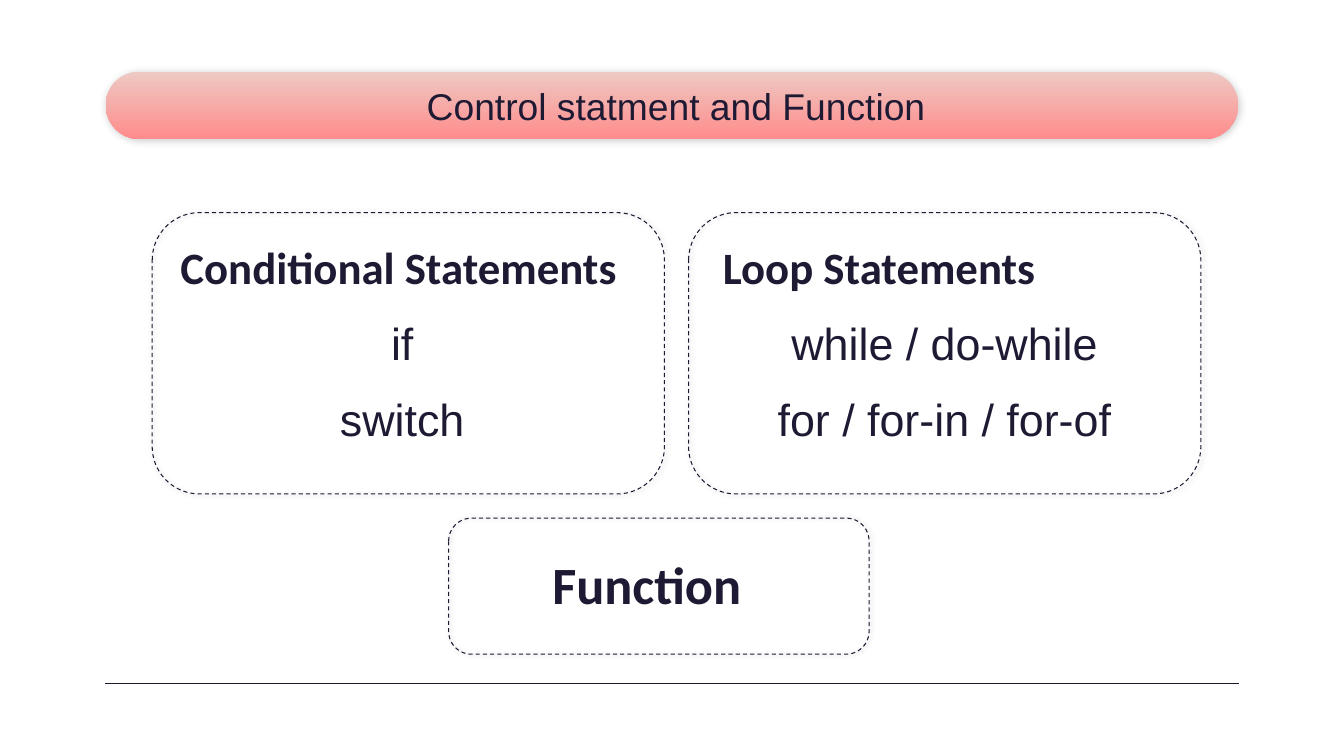
from lxml.etree import SubElement as Sub
from pptx import Presentation as Deck
from pptx.dml.color import RGBColor as Rgb
from pptx.enum.dml import MSO_LINE as Dash
from pptx.enum.shapes import MSO_CONNECTOR as Link, MSO_SHAPE as Kind
from pptx.enum.text import MSO_ANCHOR as Anchor, MSO_AUTO_SIZE as Fit, PP_ALIGN as Align
from pptx.oxml.ns import qn
from pptx.util import Pt

TITLE = "Control statment and Function"
CARDS = [
    (166, "Conditional Statements", ["if", "switch"]),
    (704, "Loop Statements", ["while / do-while", "for / for-in / for-of"]),
]
LAST = "Function"

THEME = {
    "ink": "1F1A33", "top": "EEC9C3", "base": "FF8C8C", "black": "000000",
    "body": "Arial", "head": "Calibri",
    "title": 26.6, "text": 32, "last": 37.4, "gap": 16, "line": 0.75,
}
GLOW = {
    "bar": {"color": THEME["black"], "alpha": 20, "blur": 5.6, "turn": 66},
    "card": {"color": THEME["ink"], "alpha": 30, "blur": 3.4, "turn": 9},
}
PX = 9144
WIDE, HIGH = 1333, 750
CARD_X, CARD_Y, CARD_W, CARD_H = 151, 211, 508, 279
STEP = CARD_W + 24


def emu(*vals):
    return [v * PX for v in vals]


def put(obj, vals):
    for key, val in vals.items():
        setattr(obj, key, val)


def ink(line):
    line.color.rgb = Rgb.from_string(THEME["ink"])
    line.width = Pt(THEME["line"])


def pill(slide, box, bend, glow):
    shape = slide.shapes.add_shape(Kind.ROUNDED_RECTANGLE, *emu(*box))
    shape.adjustments[0] = bend
    shape.shadow.inherit = False
    root = shape._element.spPr.find(qn("a:effectLst"))
    drop = Sub(root, qn("a:outerShdw"), blurRad=str(Pt(glow["blur"])),
               dist=str(Pt(0.8)), dir=str(glow["turn"] * 60000),
               algn="bl", rotWithShape="0")
    tint = Sub(drop, qn("a:srgbClr"), val=glow["color"])
    Sub(tint, qn("a:alpha"), val=str(glow["alpha"] * 1000))
    return shape


def card(slide, box):
    shape = pill(slide, box, 0.168, GLOW["card"])
    shape.fill.background()
    ink(shape.line)
    shape.line.dash_style = Dash.DASH


def label(slide, box, rows, frame, size, gap=0):
    area = slide.shapes.add_textbox(*emu(*box)).text_frame
    put(area, frame)
    for i, (text, bold, align) in enumerate(rows):
        para = area.paragraphs[0] if i == 0 else area.add_paragraph()
        put(para, {"alignment": align, "space_after": Pt(gap)})
        run = para.add_run()
        run.text = text
        face = THEME["head"] if bold else THEME["body"]
        put(run.font, {"name": face, "size": Pt(size), "bold": bold})
        run.font.color.rgb = Rgb.from_string(THEME["ink"])


def pads(side, edge):
    return {"margin_left": side * PX, "margin_right": side * PX,
            "margin_top": edge * PX, "margin_bottom": edge * PX}


def main():
    deck = Deck()
    put(deck, {"slide_width": WIDE * PX, "slide_height": HIGH * PX})
    slide = deck.slides.add_slide(deck.slide_layouts[6])

    bar = pill(slide, (105, 71, 1123, 67), 0.5, GLOW["bar"])
    bar.line.fill.background()
    bar.fill.gradient()
    bar.fill.gradient_angle = 270
    for stop, name, spot in zip(bar.fill.gradient_stops, ("top", "base"), (0, 1)):
        stop.color.rgb = Rgb.from_string(THEME[name])
        stop.position = spot

    rule = slide.shapes.add_connector(Link.STRAIGHT, *emu(104, 678, 1229, 678))
    ink(rule.line)
    Sub(rule._element.spPr, qn("a:effectLst"))

    frame = {"word_wrap": True, "vertical_anchor": Anchor.MIDDLE, **pads(10, 10)}
    label(slide, (182, 71, 978, 67), [(TITLE, False, Align.CENTER)],
          frame, THEME["title"])

    frame = {"word_wrap": True, **pads(13, 0)}
    for i, (left, head, items) in enumerate(CARDS):
        card(slide, (CARD_X + i * STEP, CARD_Y, CARD_W, CARD_H))
        rows = [(head, True, Align.LEFT)]
        rows += [(item, False, Align.CENTER) for item in items]
        label(slide, (left, 238, 466, 86), rows, frame, THEME["text"], THEME["gap"])

    card(slide, (445, 514, 417, 135))
    frame = {"word_wrap": False, "auto_size": Fit.SHAPE_TO_FIT_TEXT, **pads(10, 5)}
    label(slide, (538, 543, 208, 73), [(LAST, True, Align.LEFT)],
          frame, THEME["last"])

    deck.save("out.pptx")


if __name__ == "__main__":
    main()
